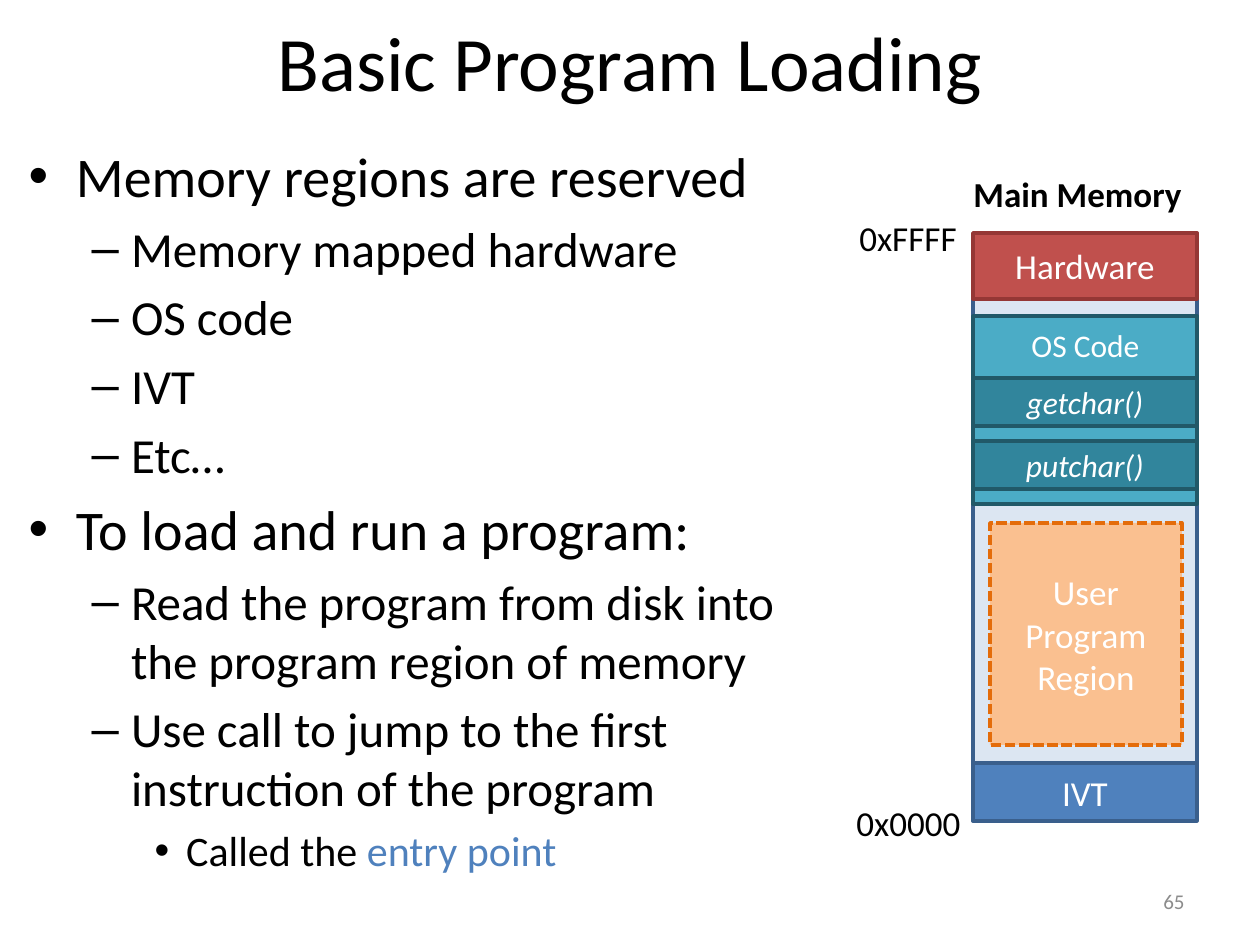
import pptx
import pptx.util
import pptx.dml.color
import pptx.enum.dml
import pptx.enum.shapes
import pptx.enum.text

SCALE = 914400 / 126
ALIGN = pptx.enum.text.PP_ALIGN
MIDDLE = pptx.enum.text.MSO_ANCHOR.MIDDLE
COL_X, COL_W = 973, 224
LEVEL_SIZES = (32, 28, 24)
BULLETS = [
    (0, ["Memory regions are reserved"]),
    (1, ["Memory mapped hardware"]),
    (1, ["OS code"]),
    (1, ["IVT"]),
    (1, ["Etc…"]),
    (0, ["To load and run a program:"]),
    (1, ["Read the program from disk into the program region of memory"]),
    (1, ["Use call to jump to the first instruction of the program"]),
    (2, ["Called the ", "entry point"]),
]


def px(n):
    """Turn pixels into EMU."""
    return pptx.util.Emu(round(n * SCALE))


def rgb(value):
    """Turn a hex string into a colour."""
    return pptx.dml.color.RGBColor.from_string(value)


def add_run(p, text, size, color="000000", bold=False, italic=False):
    """Append a formatted run to a paragraph."""
    r = p.add_run()
    r.text = text
    r.font.name = "Calibri"
    r.font.size = pptx.util.Pt(size)
    r.font.color.rgb = rgb(color)
    r.font.bold = bold
    r.font.italic = italic


def place(sp, x, y, w, h):
    """Move and size a shape."""
    sp.left, sp.top, sp.width, sp.height = px(x), px(y), px(w), px(h)


def fill_title(sp, text):
    """Format the title placeholder."""
    place(sp, 63, 0, 1134, 121)
    tf = sp.text_frame
    tf.auto_size = pptx.enum.text.MSO_AUTO_SIZE.NONE
    tf.vertical_anchor = MIDDLE
    p = tf.paragraphs[0]
    p.alignment = ALIGN.CENTER
    add_run(p, text, 44)


def fill_body(sp):
    """Fill the body placeholder with the bullet list."""
    place(sp, 16, 135, 828, 772)
    tf = sp.text_frame
    tf.auto_size = pptx.enum.text.MSO_AUTO_SIZE.NONE
    for i, (level, parts) in enumerate(BULLETS):
        p = tf.add_paragraph() if i else tf.paragraphs[0]
        p.level = level
        if i == 0:
            p.space_before = pptx.util.Pt(0)
        for text, color in zip(parts, ("000000", "4F81BD")):
            add_run(p, text, LEVEL_SIZES[level], color)


def add_region(s, y, h, fill, line, text="", size=20, italic=False,
               x=COL_X, w=COL_W, dash=None):
    """Add a rectangular memory region with an optional label."""
    sp = s.shapes.add_shape(pptx.enum.shapes.MSO_SHAPE.RECTANGLE,
                            px(x), px(y), px(w), px(h))
    sp.shadow.inherit = False
    sp.fill.solid()
    sp.fill.fore_color.rgb = rgb(fill)
    sp.line.color.rgb = rgb(line)
    sp.line.width = pptx.util.Pt(2)
    if dash:
        sp.line.dash_style = dash
    if text:
        tf = sp.text_frame
        tf.word_wrap = True
        tf.vertical_anchor = MIDDLE
        p = tf.paragraphs[0]
        p.alignment = ALIGN.CENTER
        add_run(p, text, size, "FFFFFF", italic=italic)


def add_label(s, x, y, w, h, text, size=20, color="000000", bold=False,
              align=ALIGN.LEFT, anchor=pptx.enum.text.MSO_ANCHOR.TOP):
    """Add a one-line text box."""
    sp = s.shapes.add_textbox(px(x), px(y), px(w), px(h))
    tf = sp.text_frame
    tf.word_wrap = align == ALIGN.RIGHT
    tf.vertical_anchor = anchor
    p = tf.paragraphs[0]
    p.alignment = align
    add_run(p, text, size, color, bold)


def main():
    """Build and save the slide."""
    prs = pptx.Presentation()
    prs.slide_width, prs.slide_height = px(1260), px(945)
    s = prs.slides.add_slide(prs.slide_layouts[1])
    fill_title(s.shapes.title, "Basic Program Loading")
    fill_body(s.placeholders[1])
    add_label(s, 903, 876, 294, 50, "65", 12, "8C8C8C",
              align=ALIGN.RIGHT, anchor=MIDDLE)

    add_region(s, 234, 586, "DCE6F2", "3A5F8C")
    add_region(s, 763, 58, "4F81BD", "3A5F8C", "IVT")
    add_label(s, 844, 795, 130, 55, "0x0000")
    add_label(s, 847, 210, 123, 55, "0xFFFF")
    add_label(s, 961, 166, 236, 55, "Main Memory", bold=True)
    add_region(s, 316, 188, "4BACC6", "215968")
    for y, name in ((378, "getchar()"), (441, "putchar()")):
        add_region(s, y, 48, "31859C", "215968", name, 18, italic=True)
    add_region(s, 523, 222, "FAC090", "E46C0A", "User Program Region",
               x=990, w=192, dash=pptx.enum.dml.MSO_LINE.SQUARE_DOT)
    add_region(s, 233, 66, "C0504D", "953735", "Hardware")
    add_label(s, 1018, 320, 135, 50, "OS Code", 18, "FFFFFF", align=ALIGN.CENTER)
    prs.save("out.pptx")


if __name__ == "__main__":
    main()
